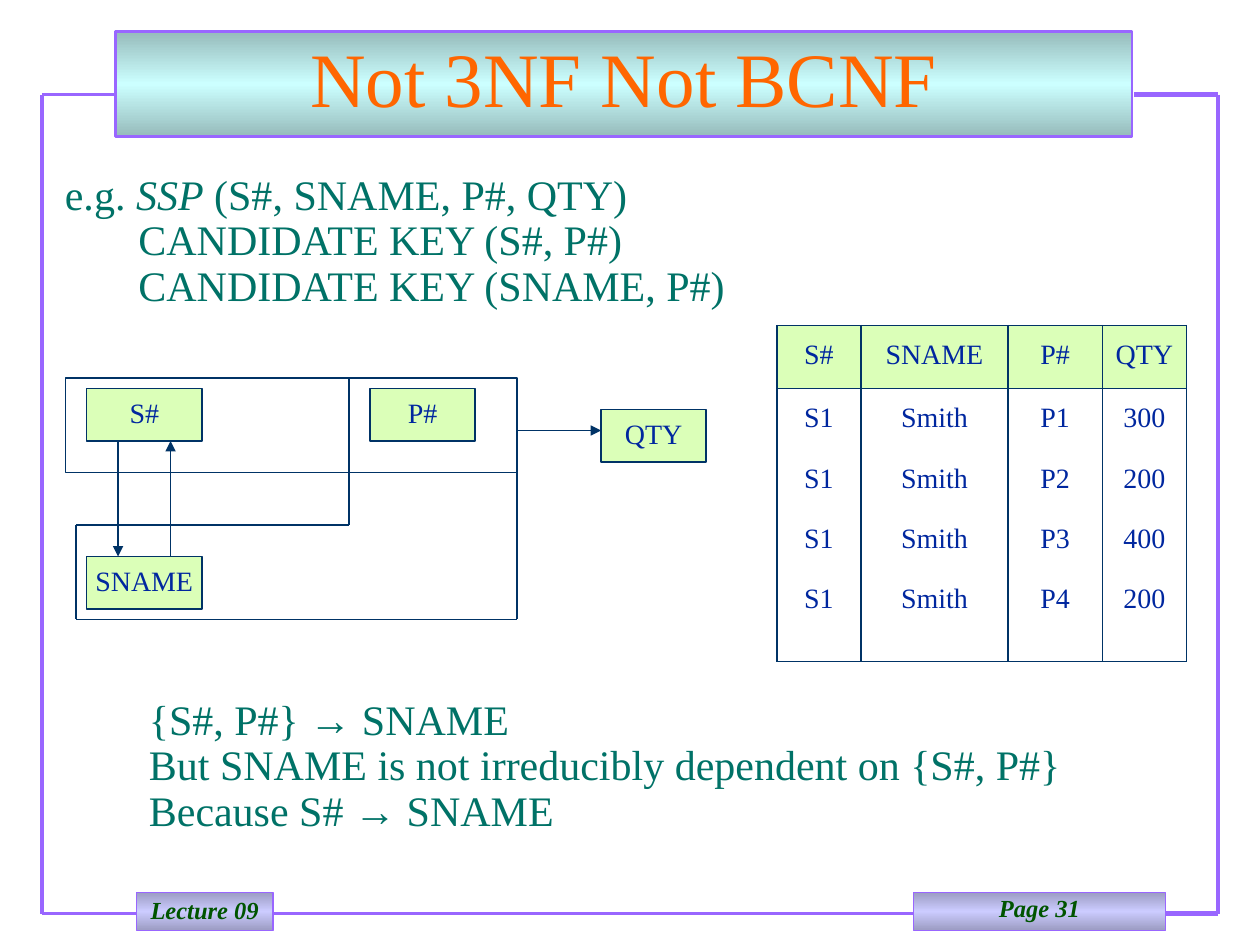
"""Build the slide about a relation that is in neither 3NF nor BCNF."""
from copy import deepcopy
from itertools import pairwise

from lxml.etree import SubElement
from pptx import Presentation
from pptx.dml.color import RGBColor
from pptx.enum.shapes import MSO_CONNECTOR, MSO_SHAPE
from pptx.enum.text import MSO_ANCHOR, MSO_AUTO_SIZE, PP_ALIGN
from pptx.oxml.ns import qn
from pptx.util import Pt

COLORS = {
    "frame": "9966FF", "line": "003366", "title": "FF6600", "body": "007267",
    "label": "00279F", "footer": "005400", "green": "DBFFB8", "white": "FFFFFF",
    "cyan": "CCFFFF", "cyan_dark": "96BBBB", "lilac": "CCCCFF", "lilac_dark": "9C9CC3",
}
SERIF = "Times New Roman"
ROWS = [
    ("S#", "SNAME", "P#", "QTY"),
    ("S1", "Smith", "P1", "300"),
    ("S1", "Smith", "P2", "200"),
    ("S1", "Smith", "P3", "400"),
    ("S1", "Smith", "P4", "200"),
]


def rgb(name):
    return RGBColor.from_string(COLORS[name])


def write(frame, *lines, size=16, color="label", align=PP_ALIGN.LEFT, spacing=0.9,
          anchor=MSO_ANCHOR.TOP, wrap=True, bold=False, italic=False, indents=()):
    """Fill a text frame; a line is a string or a list of (text, format) spans."""
    frame.auto_size = MSO_AUTO_SIZE.NONE
    frame.word_wrap = wrap
    frame.vertical_anchor = anchor
    for index, line in enumerate(lines):
        para = frame.paragraphs[0] if index == 0 else frame.add_paragraph()
        para.alignment = align
        para.line_spacing = spacing
        para.space_before = Pt(0)
        if indents:
            para._p.get_or_add_pPr().set("marL", str(Pt(indents[index])))
        for text, style in [(line, {})] if isinstance(line, str) else line:
            span = para.add_run()
            span.text = text
            span.font.size = Pt(size)
            span.font.name = style.get("font", SERIF)
            span.font.bold = bold
            span.font.italic = style.get("italic", italic)
            span.font.color.rgb = rgb(color)


def outline(shape, color, width):
    shape.line.color.rgb = rgb(color)
    shape.line.width = Pt(width)


def shade(shape, edge, middle):
    """Give a shape a vertical gradient, dark at both edges."""
    shape.fill.gradient()
    shape.fill.gradient_angle = 90
    stop_list = shape._element.spPr.find(qn("a:gradFill")).find(qn("a:gsLst"))
    stop_list.insert(1, deepcopy(stop_list[0]))
    for stop, position, name in zip(shape.fill.gradient_stops, (0, 0.5, 1), (edge, middle, edge)):
        stop.position = position
        stop.color.rgb = rgb(name)


def add_box(page, left, top, width, height, fill=None, color="line", weight=1):
    box = page.shapes.add_shape(MSO_SHAPE.RECTANGLE, Pt(left), Pt(top), Pt(width), Pt(height))
    box.shadow.inherit = False
    if fill:
        box.fill.solid()
        box.fill.fore_color.rgb = rgb(fill)
    else:
        box.fill.background()
    outline(box, color, weight)
    return box


def add_text(page, left, top, width, height, *lines, **style):
    box = page.shapes.add_textbox(Pt(left), Pt(top), Pt(width), Pt(height))
    write(box.text_frame, *lines, **style)


def add_path(page, *points, color="line", weight=1, arrow=False):
    """Join the points with straight connectors."""
    for start, end in pairwise(points):
        line = page.shapes.add_connector(MSO_CONNECTOR.STRAIGHT, *map(Pt, start + end))
        outline(line, color, weight)
        if arrow:
            SubElement(line.line._get_or_add_ln(), qn("a:tailEnd"), type="triangle")
        SubElement(line._element.spPr, qn("a:effectLst"))


def set_borders(cell, visible):
    """Draw the named sides of a cell and hide the others."""
    properties = cell._tc.get_or_add_tcPr()
    for side in "LRTB":
        border = SubElement(properties, qn(f"a:ln{side}"), w=str(Pt(1)))
        if side in visible:
            SubElement(SubElement(border, qn("a:solidFill")), qn("a:srgbClr"), val=COLORS["line"])
        else:
            SubElement(border, qn("a:noFill"))


def add_relation(page, left, top, widths, heights):
    table = page.shapes.add_table(len(heights), len(widths), Pt(left), Pt(top),
                                  Pt(sum(widths)), Pt(sum(heights))).table
    table.first_row = table.horz_banding = False
    for column, width in zip(table.columns, widths):
        column.width = Pt(width)
    for row, height in zip(table.rows, heights):
        row.height = Pt(height)
    edges = {0: "LRTB", 1: "LRT", len(heights) - 1: "LRB"}
    for index, values in enumerate(ROWS):
        for cell, value in zip(table.rows[index].cells, values):
            set_borders(cell, edges.get(index, "LR"))
            cell.fill.solid()
            cell.fill.fore_color.rgb = rgb("white" if index else "green")
            cell.margin_left = cell.margin_right = cell.margin_bottom = 0
            cell.margin_top = Pt(9.6)
            write(cell.text_frame, value, align=PP_ALIGN.CENTER)


def add_title(page, text):
    title = page.shapes.title
    title.left, title.top, title.width, title.height = map(Pt, (66, 18, 581, 60))
    shade(title, "cyan_dark", "cyan")
    outline(title, "frame", 1.5)
    write(title.text_frame, text, size=44, color="title", align=PP_ALIGN.CENTER,
          spacing=0.85, anchor=MSO_ANCHOR.MIDDLE)


def add_frame(page):
    add_path(page, (66, 54), (24, 54), (24, 522), (78, 522), color="frame", weight=2.25)
    add_path(page, (696, 54), (696, 522), color="frame", weight=2.25)
    add_path(page, (156, 522), (522, 522), color="frame", weight=2.25)
    for left, y in ((648, 54), (666, 522)):
        add_path(page, (left, y), (696, y), color="frame", weight=3)
    for text, left, width, spacing in (("Lecture 09", 78, 78, 0.9), ("Page 31", 522, 144, 0.8)):
        box = add_box(page, left, 510, width, 21.6, color="frame", weight=0.75)
        shade(box, "lilac_dark", "lilac")
        write(box.text_frame, text, size=14, color="footer", align=PP_ALIGN.CENTER,
              spacing=spacing, wrap=False, bold=True, italic=True)


def add_dependencies(page):
    labels = (("S#", 49.5, 222, 66), ("SNAME", 49.5, 318, 66),
              ("P#", 211.5, 222, 60), ("QTY", 343.5, 234, 60))
    for text, left, top, width in labels:
        box = add_box(page, left, top, width, 30, fill="green")
        write(box.text_frame, text, align=PP_ALIGN.CENTER, anchor=MSO_ANCHOR.MIDDLE, wrap=False)
    add_box(page, 37.5, 216, 258, 54)
    add_path(page, (199.5, 216), (199.5, 300), (43.5, 300), (43.5, 354), (295.5, 354), (295.5, 258))
    for start, end in (((295.5, 246), (343.5, 246)), ((67.5, 252), (67.5, 318)),
                       ((97.5, 318), (97.5, 252))):
        add_path(page, start, end, arrow=True)


def main():
    deck = Presentation()
    deck.slide_width, deck.slide_height = Pt(720), Pt(540)
    page = deck.slides.add_slide(deck.slide_layouts[5])
    add_frame(page)
    add_title(page, "Not 3NF Not BCNF")
    add_text(page, 30, 96, 395, 85,
             [("e.g. ", {}), ("SSP", {"italic": True}), (" (S#, SNAME, P#, QTY)", {})],
             "CANDIDATE KEY (S#, P#)", "CANDIDATE KEY (SNAME, P#)",
             size=24, color="body", indents=(0, 42, 42))
    add_dependencies(page)
    arrow = ("→", {"font": "Arial"})
    add_text(page, 78, 396, 552, 85,
             [("{S#, P#} ", {}), arrow, (" SNAME", {})],
             "But SNAME is not irreducibly dependent on {S#, P#}",
             [("Because S# ", {}), arrow, (" SNAME", {})],
             size=24, color="body")
    add_relation(page, 444, 186, (48, 84, 54, 48), (36, 34.5, 34.5, 34.5, 52.5))
    deck.save("out.pptx")


if __name__ == "__main__":
    main()
